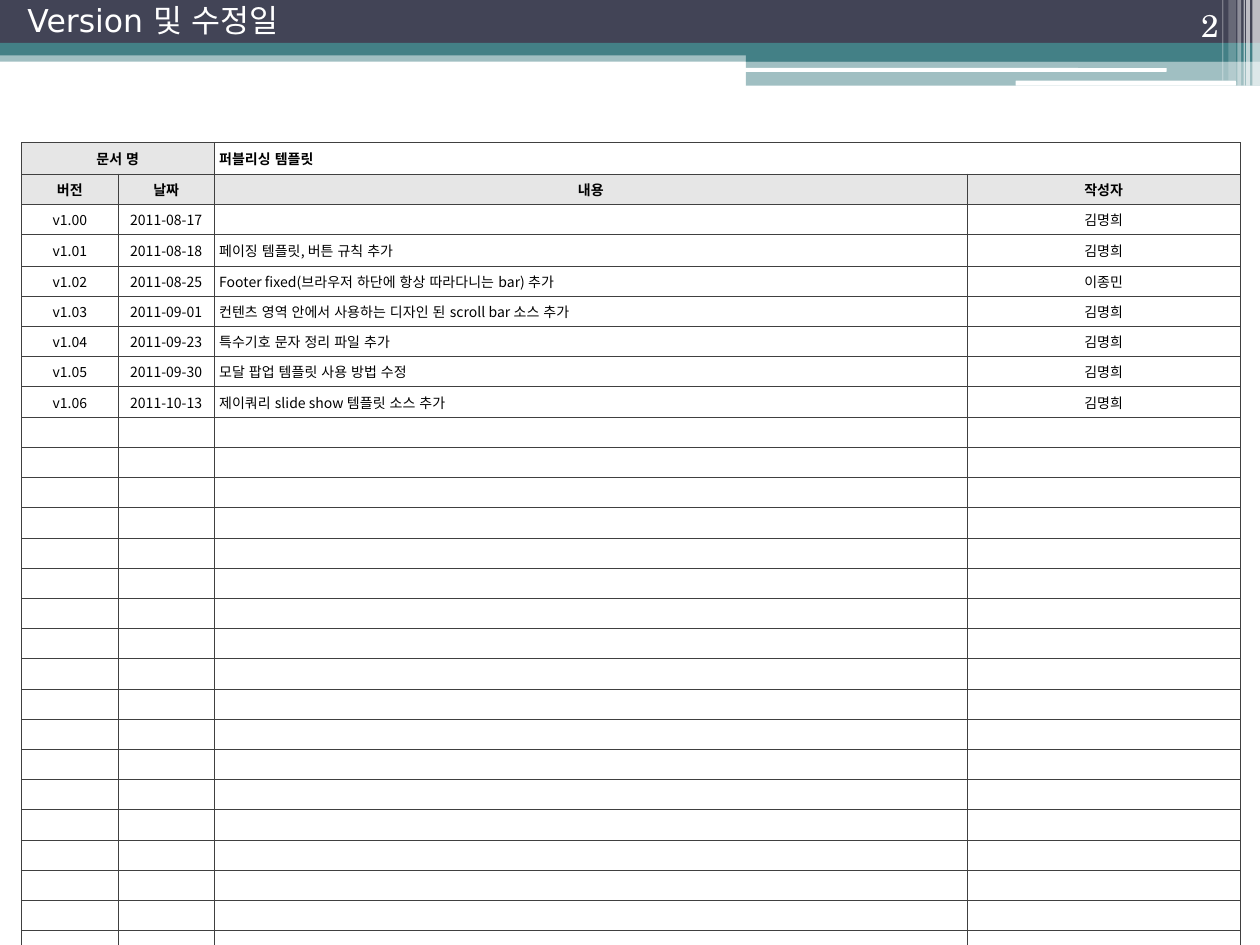
from dataclasses import dataclass
from lxml.etree import SubElement as Sub
from pptx import Presentation
from pptx.dml.color import RGBColor as RGB
from pptx.enum.lang import MSO_LANGUAGE_ID as Lang
from pptx.enum.shapes import MSO_SHAPE as Kind
from pptx.enum.text import MSO_ANCHOR as Anchor, PP_ALIGN as Align
from pptx.oxml.ns import qn
from pptx.util import Inches, Pt


@dataclass(frozen=True)
class Theme:
    white: str = "FFFFFF"
    black: str = "000000"
    navy: str = "424456"
    teal: str = "438086"
    head: str = "E6E6E6"
    rule: str = "404040"
    title: str = "DejaVu Sans"
    num: str = "TeX Gyre Schola"
    body: str = "Noto Sans CJK KR"
    big: int = 18
    small: int = 8
    hair: float = 0.25


T = Theme()
BANDS = [
    (0, 0.4, 10, 0.09, T.teal, 50),
    (0, 0, 10, 0.34, T.navy, 100),
    (0, 0.34, 10, 0.1, T.teal, 100),
    (5.92, 0.39, 4.08, 0.1, T.teal, 100),
    (5.92, 0.48, 4.08, 0.2, T.teal, 50),
]
PILLS = [
    (5.91, 0.54, 3.35, 0.03, T.white, 100),
    (8.06, 0.64, 1.75, 0.04, T.white, 100),
]
STRIPES = [
    (9.94, 0, 0.06, 0.68, T.white, 65),
    (9.89, 0, 0.03, 0.68, T.white, 65),
    (9.87, 0, 0.01, 0.68, T.white, 60),
    (9.82, 0, 0.03, 0.68, T.white, 40),
    (9.75, 0, 0.06, 0.64, T.white, 20),
    (9.7, 0, 0.01, 0.64, T.white, 30),
]
TITLE = "Version 및 수정일"
PAGE = "2"
HEADS = [
    ("문서 명", "", "퍼블리싱 템플릿", ""),
    ("버전", "날짜", "내용", "작성자"),
]
LOG = [
    ("v1.00", "2011-08-17", "", "김명희"),
    ("v1.01", "2011-08-18", "페이징 템플릿, 버튼 규칙 추가", "김명희"),
    ("v1.02", "2011-08-25", "Footer fixed(브라우저 하단에 항상 따라다니는 bar) 추가", "이종민"),
    ("v1.03", "2011-09-01", "컨텐츠 영역 안에서 사용하는 디자인 된 scroll bar 소스 추가", "김명희"),
    ("v1.04", "2011-09-23", "특수기호 문자 정리 파일 추가", "김명희"),
    ("v1.05", "2011-09-30", "모달 팝업 템플릿 사용 방법 수정", "김명희"),
    ("v1.06", "2011-10-13", "제이쿼리 slide show 템플릿 소스 추가", "김명희"),
]
COLS = [0.77, 0.76, 5.98, 2.16]
COUNT = 28
ROW = 0.24
TALL = {0: 0.25, 3: 0.25}
ROWS = [TALL.get(r, ROW) for r in range(COUNT)]
LEFT, TOP = 0.17, 1.13
PAD = 0.04


def draw(slide, kind, items):
    for x, y, w, h, color, alpha in items:
        part = slide.shapes.add_shape(kind, *map(Inches, (x, y, w, h)))
        part.shadow.inherit = False
        part.line.fill.background()
        part.fill.solid()
        part.fill.fore_color.rgb = RGB.from_string(color)
        if alpha < 100:
            tone = part._element.spPr.find(".//" + qn("a:srgbClr"))
            Sub(tone, qn("a:alpha"), val=str(alpha * 1000))


def write(para, text, face, size, color, bold=False):
    run = para.add_run()
    run.text = text
    font = run.font
    font.name, font.size, font.bold = face, Pt(size), bold
    font.language_id = Lang.KOREAN
    font.color.rgb = RGB.from_string(color)
    return run


def label(slide, box, text, face, anchor, align):
    frame = slide.shapes.add_textbox(*map(Inches, box)).text_frame
    frame.word_wrap = True
    frame.vertical_anchor = anchor
    para = frame.paragraphs[0]
    para.alignment = align
    write(para, text, face, T.big, T.white)
    return para


def border(cell):
    props = cell._tc.get_or_add_tcPr()
    for side in ("lnL", "lnR", "lnT", "lnB"):
        line = Sub(props, qn("a:" + side), w=str(Pt(T.hair)))
        fill = Sub(line, qn("a:solidFill"))
        Sub(fill, qn("a:srgbClr"), val=T.rule)


def fill_cell(cell, text, align, color, bold):
    border(cell)
    cell.fill.solid()
    cell.fill.fore_color.rgb = RGB.from_string(color)
    cell.margin_left = cell.margin_right = Inches(PAD)
    cell.margin_top = cell.margin_bottom = Inches(PAD)
    cell.vertical_anchor = Anchor.MIDDLE
    para = cell.text_frame.paragraphs[0]
    para.alignment = align
    if text:
        run = write(para, text, T.body, T.small, T.black, bold)
        Sub(run._r.get_or_add_rPr(), qn("a:ea"), typeface=T.body)
    else:
        end = Sub(para._p, qn("a:endParaRPr"), sz=str(T.small * 100))
        for tag in ("a:latin", "a:ea"):
            Sub(end, qn(tag), typeface=T.body)


def add_log(slide):
    size = (LEFT, TOP, sum(COLS), sum(ROWS))
    grid = slide.shapes.add_table(COUNT, len(COLS), *map(Inches, size)).table
    grid.first_row = grid.horz_banding = False
    for col, width in zip(grid.columns, COLS):
        col.width = Inches(width)
    for row, height in zip(grid.rows, ROWS):
        row.height = Inches(height)
    rows = HEADS + LOG
    rows += [("",) * len(COLS)] * (COUNT - len(rows))
    for r, row in enumerate(rows):
        for c, text in enumerate(row):
            top = r < len(HEADS)
            name = r == 0 and c >= 2
            left = name or (c == 2 and not top)
            color = T.head if top and not name else T.white
            align = Align.LEFT if left else Align.CENTER
            fill_cell(grid.cell(r, c), text, align, color, top)
    for c in (0, 2):
        grid.cell(0, c).merge(grid.cell(0, c + 1))


def main():
    deck = Presentation()
    deck.slide_width, deck.slide_height = Inches(10), Inches(7.5)
    slide = deck.slides.add_slide(deck.slide_layouts[6])
    draw(slide, Kind.RECTANGLE, BANDS)
    draw(slide, Kind.ROUNDED_RECTANGLE, PILLS)
    draw(slide, Kind.RECTANGLE, STRIPES)
    para = label(slide, (0.12, -0.03, 2.76, 0.38), TITLE, T.title, Anchor.MIDDLE, Align.LEFT)
    props = para._p.get_or_add_pPr()
    props.set("marL", str(Inches(0.38)))
    props.set("indent", str(Inches(-0.38)))
    label(slide, (8.94, 0, 0.83, 0.4), PAGE, T.num, Anchor.BOTTOM, Align.RIGHT)
    add_log(slide)
    deck.save("out.pptx")


if __name__ == "__main__":
    main()
